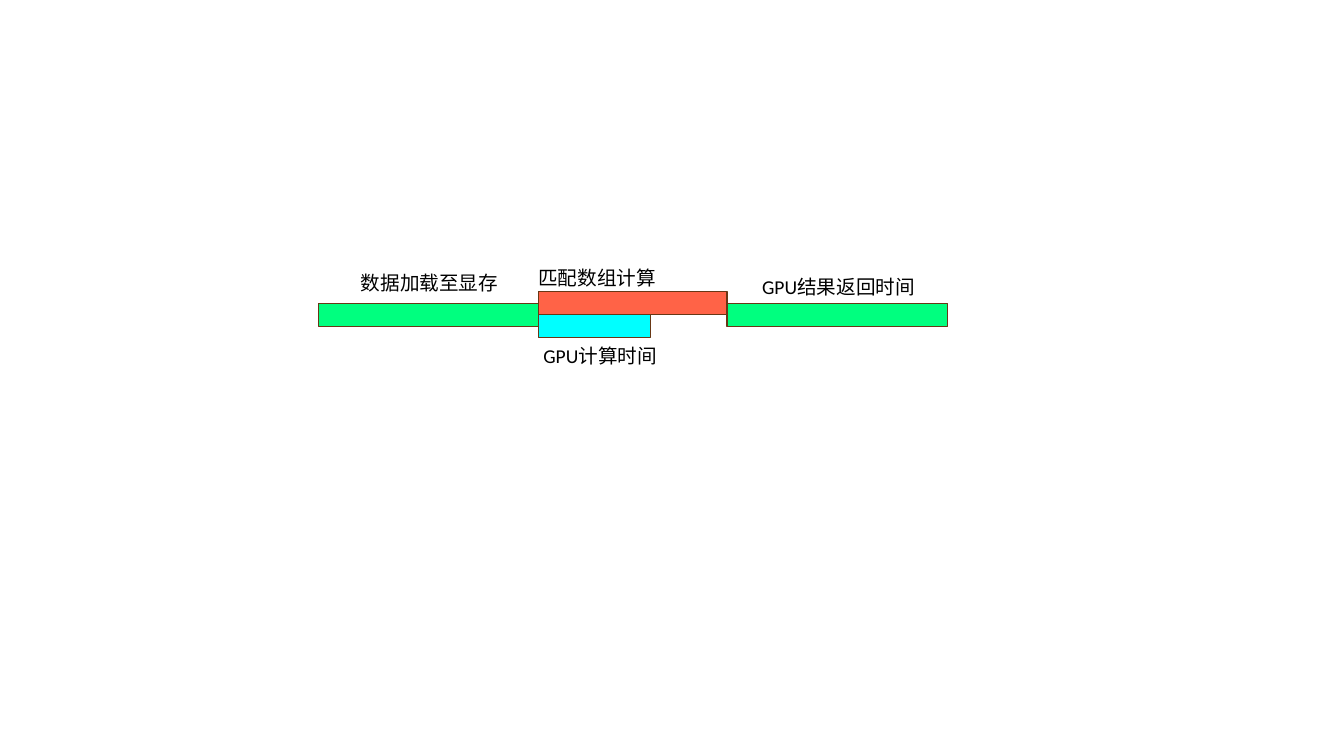
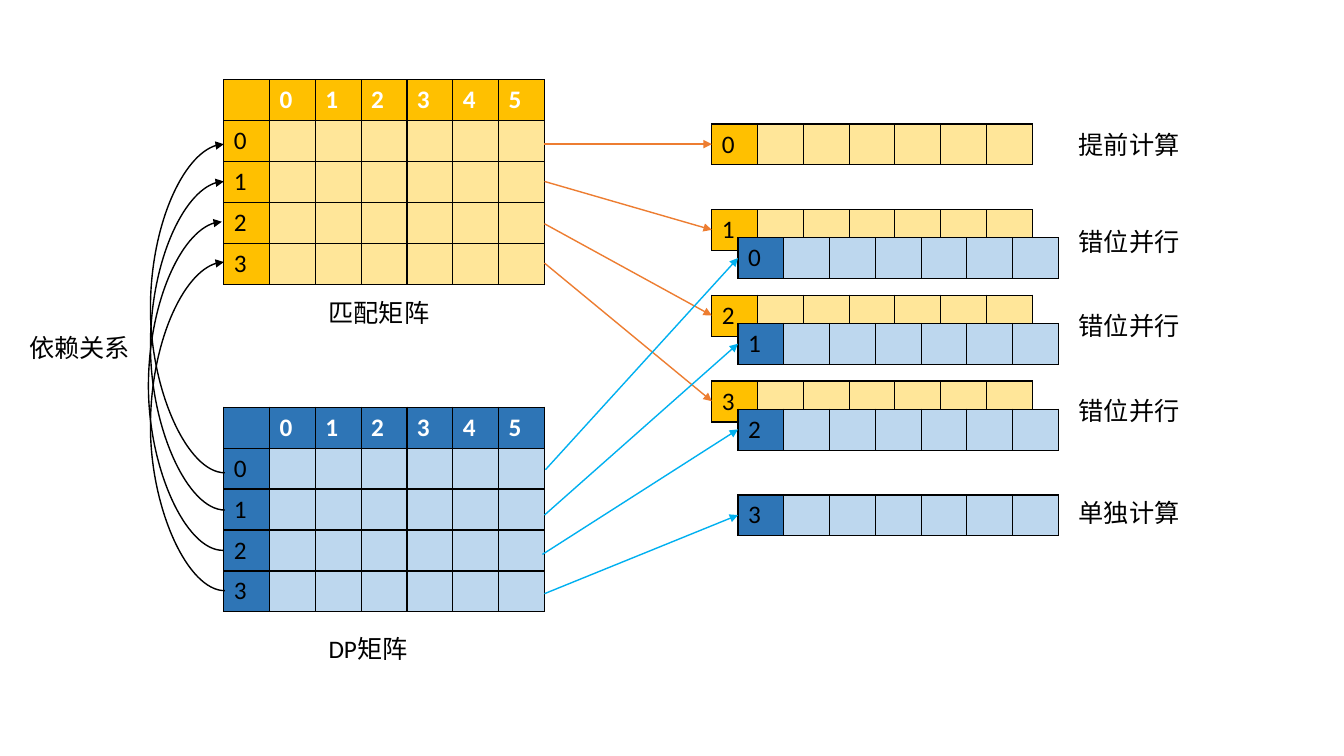
"""Builds two slides on overlapping GPU work and row dependencies of two matrices."""
from lxml import etree
from pptx import Presentation
from pptx.dml.color import RGBColor
from pptx.enum.shapes import MSO_CONNECTOR, MSO_SHAPE
from pptx.enum.text import MSO_AUTO_SIZE
from pptx.oxml.ns import qn
from pptx.util import Emu, Pt

STRAIGHT = MSO_CONNECTOR.STRAIGHT
CURVE = MSO_CONNECTOR.CURVE
RECTANGLE = MSO_SHAPE.RECTANGLE
FIT_SHAPE = MSO_AUTO_SIZE.SHAPE_TO_FIT_TEXT

BLACK = RGBColor(0x00, 0x00, 0x00)
WHITE = RGBColor(0xFF, 0xFF, 0xFF)
BROWN = RGBColor(0x68, 0x37, 0x15)
TOMATO = RGBColor(0xFF, 0x63, 0x47)
SPRING_GREEN = RGBColor(0x00, 0xFF, 0x7F)
CYAN = RGBColor(0x00, 0xFF, 0xFF)
GOLD = RGBColor(0xFF, 0xC0, 0x00)
PALE_GOLD = RGBColor(0xFF, 0xE6, 0x99)
BLUE = RGBColor(0x2E, 0x75, 0xB6)
PALE_BLUE = RGBColor(0xBD, 0xD7, 0xEE)
ORANGE = RGBColor(0xED, 0x7D, 0x31)
SKY = RGBColor(0x00, 0xB0, 0xF0)

GOLD_PAIR = (GOLD, PALE_GOLD)
BLUE_PAIR = (BLUE, PALE_BLUE)
FONT = "Calibri"
EMU_PER_PX = 9144


def px(length):
    """Turn px, 100 to the inch, into EMU."""
    return Emu(length * EMU_PER_PX)


class Sketch:
    """Holds the shared style and the current slide."""

    column_count = 7
    column_width = px(318) // column_count
    row_height = px(203) // 5
    line_width = Pt(1)

    def __init__(self):
        """Start an empty deck."""
        self.deck = Presentation()
        self.deck.slide_width = px(1333)
        self.deck.slide_height = px(750)
        self.page = None

    def new_page(self):
        """Add a blank slide and make it current."""
        self.page = self.deck.slides.add_slide(self.deck.slide_layouts[6])

    def style_text(self, frame, size, color=BLACK, bold=False):
        """Format every span of a text frame."""
        for para in frame.paragraphs:
            for span in para.runs:
                span.font.name = FONT
                span.font.size = Pt(size)
                span.font.bold = bold
                span.font.color.rgb = color

    def label(self, text, left, top, width, height, size):
        """Add a wrapped text box."""
        box = self.page.shapes.add_textbox(px(left), px(top), px(width), px(height))
        frame = box.text_frame
        frame.word_wrap = True
        frame.auto_size = FIT_SHAPE
        frame.text = text
        self.style_text(frame, size)

    def bar(self, left, top, width, color):
        """Add an outlined time bar."""
        box = self.page.shapes.add_shape(RECTANGLE, px(left), px(top), px(width), px(23))
        box.shadow.inherit = False
        box.fill.solid()
        box.fill.fore_color.rgb = color
        box.line.color.rgb = BROWN
        box.line.width = self.line_width

    def arrow(self, start, end, color, kind=STRAIGHT):
        """Add a connector with a triangle at its end."""
        link = self.page.shapes.add_connector(kind, *map(px, start + end))
        link.line.color.rgb = color
        link.line.width = self.line_width
        properties = link._element.spPr
        etree.SubElement(properties.find(qn("a:ln")), qn("a:tailEnd"), type="triangle")
        etree.SubElement(properties, qn("a:effectLst"))
        return link

    def loop(self, left, top, height, bulge):
        """Add an arrow that leaves at the bottom and bows left to the top."""
        link = self.arrow((left, top), (left + 1, top + height), BLACK, CURVE)
        properties = link._element.spPr
        properties.find(qn("a:xfrm")).set("rot", str(180 * 60000))
        guides = properties.find(qn("a:prstGeom")).get_or_add_avLst()
        etree.SubElement(guides, qn("a:gd"), name="adj1", fmla=f"val {bulge * 100000}")

    def cell(self, cell, text, fill, color, bold):
        """Fill, outline and label one table cell."""
        properties = cell._tc.get_or_add_tcPr()
        for side in ("lnL", "lnR", "lnT", "lnB"):
            edge = etree.SubElement(properties, qn(f"a:{side}"), w=str(self.line_width))
            paint = etree.SubElement(edge, qn("a:solidFill"))
            etree.SubElement(paint, qn("a:srgbClr"), val=str(BLACK))
        cell.fill.solid()
        cell.fill.fore_color.rgb = fill
        if text:
            cell.text_frame.text = text
            self.style_text(cell.text_frame, 18, color, bold)

    def grid(self, left, top, row_names, colors, header=False):
        """Add a table with a dark first column and an optional dark header row."""
        dark, pale = colors
        blanks = [""] * (self.column_count - 1)
        rows = [[name] + blanks for name in row_names]
        if header:
            rows.insert(0, [""] + [str(n) for n in range(self.column_count - 1)])
        frame = self.page.shapes.add_table(
            len(rows), self.column_count, px(left), px(top),
            self.column_width * self.column_count, self.row_height * len(rows))
        table = frame.table
        table.first_row = table.horz_banding = False
        for column in table.columns:
            column.width = self.column_width
        for r, texts in enumerate(rows):
            table.rows[r].height = self.row_height
            is_header = header and r == 0
            for c, text in enumerate(texts):
                fill = dark if is_header or c == 0 else pale
                color = WHITE if is_header else BLACK
                self.cell(table.cell(r, c), text, fill, color, is_header)


def timeline_page(sketch):
    """Draw the loading, computing and returning times."""
    sketch.new_page()
    for bar in ((534, 289, 187, TOMATO), (316, 301, 218, SPRING_GREEN),
                (534, 312, 111, CYAN), (721, 301, 219, SPRING_GREEN)):
        sketch.bar(*bar)
    for text, left, top, width in (("匹配数组计算", 524, 259, 187),
                                   ("数据加载至显存", 348, 264, 187),
                                   ("GPU计算时间", 529, 336, 346),
                                   ("GPU结果返回时间", 746, 268, 346)):
        sketch.label(text, left, top, width, 34, 14)


def matrix_page(sketch):
    """Draw both matrices, their dependencies and the staggered rows."""
    sketch.new_page()
    names = [str(n) for n in range(4)]
    for top, colors in ((79, GOLD_PAIR), (404, BLUE_PAIR)):
        sketch.grid(222, top, names, colors, header=True)
    for left, top in ((222, 143), (222, 180), (220, 220), (222, 260)):
        sketch.loop(left, top, 326, 75)

    strips = ((706, 123, GOLD_PAIR), (732, 236, BLUE_PAIR))
    step = 85
    for left, top, colors in strips:
        for n, name in enumerate(names):
            sketch.grid(left, top + step * n, [name], colors)

    starts = (((540, 143), (540, 180), (540, 222), (540, 261)),
              ((541, 466), (540, 511), (538, 550), (540, 589)))
    for (left, top, _), points, color in zip(strips, starts, (ORANGE, SKY)):
        for n, start in enumerate(points):
            sketch.arrow(start, (left, top + 20 + step * n), color)

    for text, left, top in (("匹配矩阵", 316, 290), ("DP矩阵", 316, 623),
                            ("依赖关系", 19, 325), ("提前计算", 1060, 123),
                            ("错位并行", 1060, 220), ("错位并行", 1060, 303),
                            ("错位并行", 1060, 387), ("单独计算", 1060, 488)):
        sketch.label(text, left, top, 205, 40, 18)


def main():
    """Build and save the deck."""
    sketch = Sketch()
    timeline_page(sketch)
    matrix_page(sketch)
    sketch.deck.save("out.pptx")


if __name__ == "__main__":
    main()
